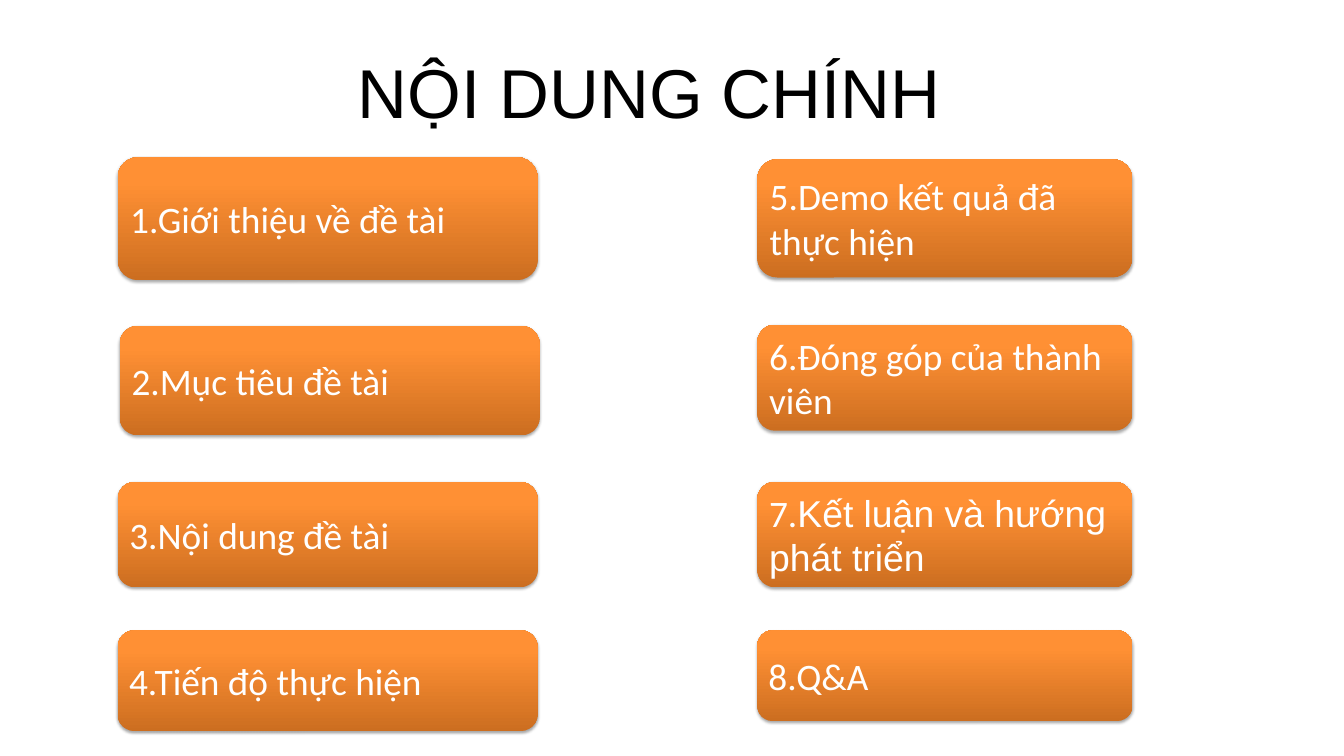
from pptx import Presentation
from pptx.dml.color import RGBColor
from pptx.enum.shapes import MSO_SHAPE
from pptx.enum.text import MSO_ANCHOR, PP_ALIGN
from pptx.oxml import parse_xml
from pptx.oxml.ns import nsdecls
from pptx.util import Pt

PX = 9144
ROUNDED = MSO_SHAPE.ROUNDED_RECTANGLE
MIDDLE = MSO_ANCHOR.MIDDLE
LEFT, CENTER = PP_ALIGN.LEFT, PP_ALIGN.CENTER
COLORS = {
    "title": "000000",
    "label": "FFFFFF",
    "dark": "CC6E20",
    "mid": "FF9034",
    "light": "FF9136",
    "shadow": "000000",
}
STOPS = "".join(
    f'<a:gs pos="{pos}"><a:srgbClr val="{COLORS[name]}"/></a:gs>'
    for pos, name in ((0, "dark"), (80000, "mid"), (100000, "light"))
)
GRADIENT = (
    f'<a:gradFill {nsdecls("a")} rotWithShape="1"><a:gsLst>{STOPS}</a:gsLst>'
    '<a:lin ang="16200000" scaled="0"/></a:gradFill>'
)
SHADOW = (
    f'<a:effectLst {nsdecls("a")}>'
    f'<a:outerShdw blurRad="{Pt(3.1)}" dist="{Pt(1.8)}" dir="5400000" rotWithShape="0">'
    f'<a:srgbClr val="{COLORS["shadow"]}"><a:alpha val="35000"/></a:srgbClr>'
    '</a:outerShdw></a:effectLst>'
)


def add_text(p, text, size=40, font="Calibri", color="label", align=LEFT):
    p.alignment = align
    r = p.add_run()
    r.text = text
    r.font.size = Pt(size)
    r.font.name = font
    r.font.color.rgb = RGBColor.from_string(COLORS[color])


prs = Presentation()
prs.slide_width = 2000 * PX
prs.slide_height = 1125 * PX
s = prs.slides.add_slide(prs.slide_layouts[6])

title = s.shapes.add_textbox(283 * PX, 69 * PX, 1367 * PX, 135 * PX)
title.text_frame.word_wrap = True
add_text(title.text_frame.paragraphs[0], "NỘI DUNG CHÍNH",
         size=74, font="Arial", color="title", align=CENTER)

SECTIONS = [
    (175, 234, 625, 183, [("1.Giới thiệu về đề tài", "Calibri")]),
    (178, 485, 625, 163, [("2.Mục tiêu đề tài", "Calibri")]),
    (175, 717, 625, 157, [("3.Nội dung đề tài", "Calibri")]),
    (175, 938, 625, 150, [("4.Tiến độ thực hiện", "Calibri")]),
    (1127, 237, 558, 176, [("5.Demo kết quả đã thực hiện", "Calibri")]),
    (1127, 483, 558, 158, [("6.Đóng góp của thành viên", "Calibri")]),
    (1127, 717, 558, 157, [("7.", "Calibri"), ("Kết luận và hướng phát triển", "Arial")]),
    (1127, 938, 558, 135, [("8.Q&A", "Calibri")]),
]

for x, y, w, h, runs in SECTIONS:
    sp = s.shapes.add_shape(ROUNDED, x * PX, y * PX, w * PX, h * PX)
    props = sp._element.spPr
    props.append(parse_xml(GRADIENT))
    sp.line.fill.background()
    props.append(parse_xml(SHADOW))
    tf = sp.text_frame
    tf.word_wrap = True
    tf.vertical_anchor = MIDDLE
    for text, font in runs:
        add_text(tf.paragraphs[0], text, font=font)

prs.save("out.pptx")
